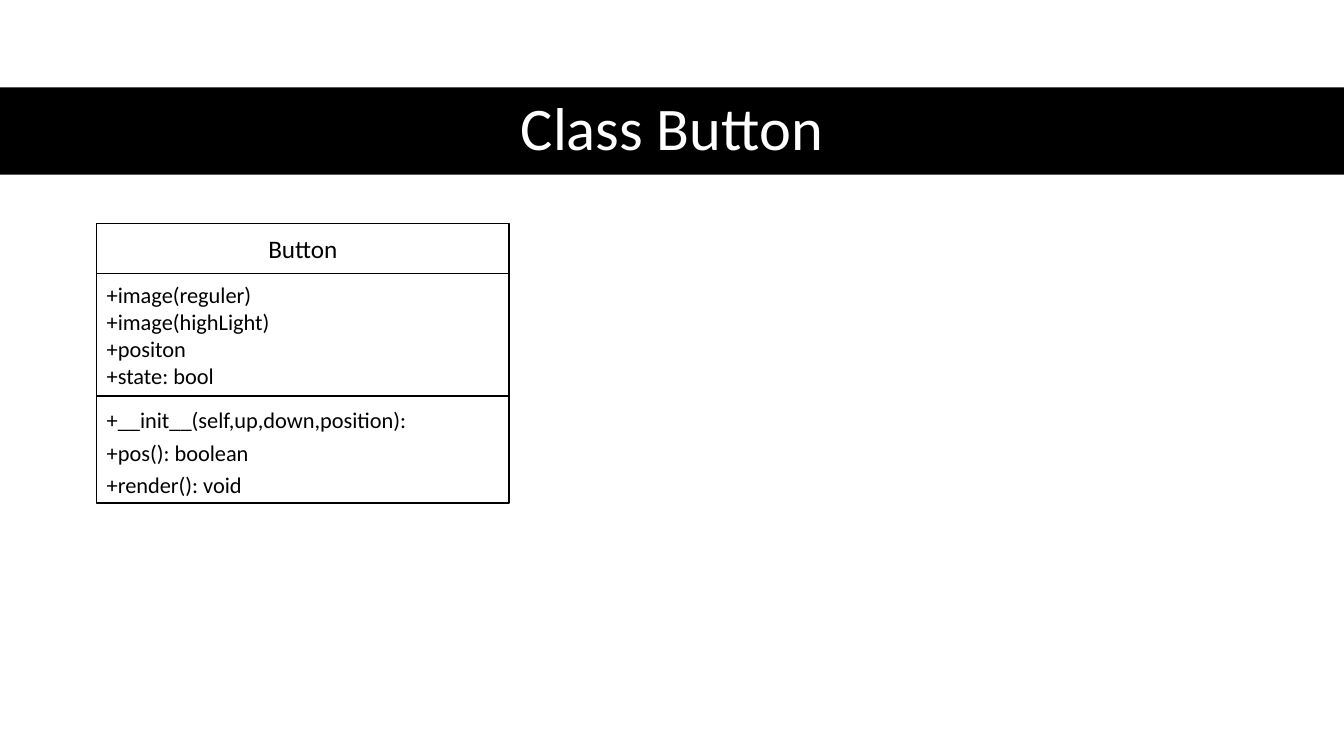
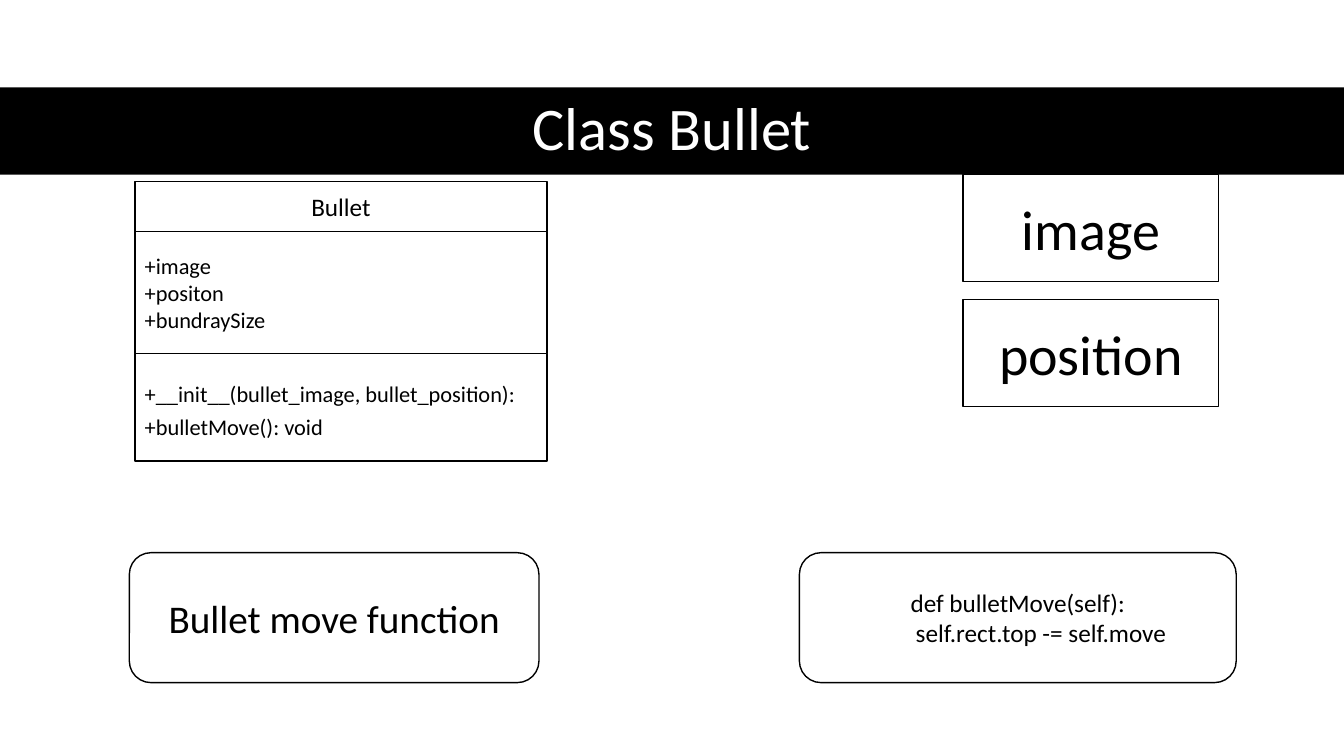
from pptx import Presentation
from pptx.dml.color import RGBColor
from pptx.enum.shapes import MSO_SHAPE as SHAPE
from pptx.enum.text import MSO_ANCHOR as ANCHOR, PP_ALIGN as ALIGN
from pptx.util import Pt

# Shared style
BLACK, WHITE = "000000", "FFFFFF"
FONT = "Calibri"
SLIDE_W, SLIDE_H = 960, 540
BAND_TOP, BAND_H = 62.4, 62.4
CLASS_W = 294.5
NAME_H, FIELDS_H, METHODS_H = 35.7, 87.3, 76.5
CODE_INDENT = 33


def rgb(value):
    return RGBColor.from_string(value)


def add_box(s, at, lines, size, kind=SHAPE.RECTANGLE, align=ALIGN.CENTER,
            spacing=1.0, fill=WHITE, color=BLACK, outline=True):
    sp = s.shapes.add_shape(kind, *[Pt(v) for v in at])
    sp.shadow.inherit = False
    sp.fill.solid()
    sp.fill.fore_color.rgb = rgb(fill)
    if outline:
        sp.line.color.rgb = rgb(BLACK)
        sp.line.width = Pt(1)
    else:
        sp.line.fill.background()
    tf = sp.text_frame
    tf.word_wrap = True
    tf.vertical_anchor = ANCHOR.MIDDLE
    for i, line in enumerate(lines):
        p = tf.paragraphs[0] if i == 0 else tf.add_paragraph()
        p.alignment = align
        p.line_spacing = spacing
        r = p.add_run()
        r.text = line
        r.font.name = FONT
        r.font.size = Pt(size)
        r.font.color.rgb = rgb(color)
    return sp


prs = Presentation()
prs.slide_width, prs.slide_height = Pt(SLIDE_W), Pt(SLIDE_H)

# Class name, left and top of its diagram, fields, methods
classes = [
    ("Button", 69.1, 159.8,
     ["+image(reguler)", "+image(highLight)", "+positon", "+state: bool"],
     ["+__init__(self,up,down,position):", "+pos(): boolean", "+render(): void"]),
    ("Bullet", 96.3, 129.7,
     ["+image", "+positon", "+bundraySize"],
     ["+__init__(bullet_image, bullet_position):", "+bulletMove(): void"]),
]

# Title band and class diagram on every slide
for name, left, top, fields, methods in classes:
    s = prs.slides.add_slide(prs.slide_layouts[6])
    add_box(s, (0, BAND_TOP, SLIDE_W, BAND_H), [f"Class {name}"], 43.2,
            spacing=0.9, fill=BLACK, color=WHITE, outline=False)
    sections = [
        (NAME_H, [name], 18, ALIGN.CENTER, 1.0),
        (FIELDS_H, fields, 16, ALIGN.LEFT, 1.0),
        (METHODS_H, methods, 16, ALIGN.LEFT, 1.2),
    ]
    for height, lines, size, align, spacing in sections:
        add_box(s, (left, top, CLASS_W, height), lines, size,
                align=align, spacing=spacing)
        top += height

# Bullet slide: field boxes
for i, field in enumerate(["image", "position"]):
    add_box(s, (688, 124.8 + i * 89.2, 182.4, 76.5), [field], 40)

# Bullet slide: move function and its code
add_box(s, (92.4, 394.8, 292.6, 92.8), ["Bullet move function"], 28,
        SHAPE.ROUNDED_RECTANGLE)
code = add_box(s, (571, 394.8, 312, 92.8),
               ["def bulletMove(self):", "self.rect.top -= self.move"], 18,
               SHAPE.ROUNDED_RECTANGLE)
body = code.text_frame.paragraphs[1]
body._p.get_or_add_pPr().set("marL", str(Pt(CODE_INDENT)))

prs.save("out.pptx")
